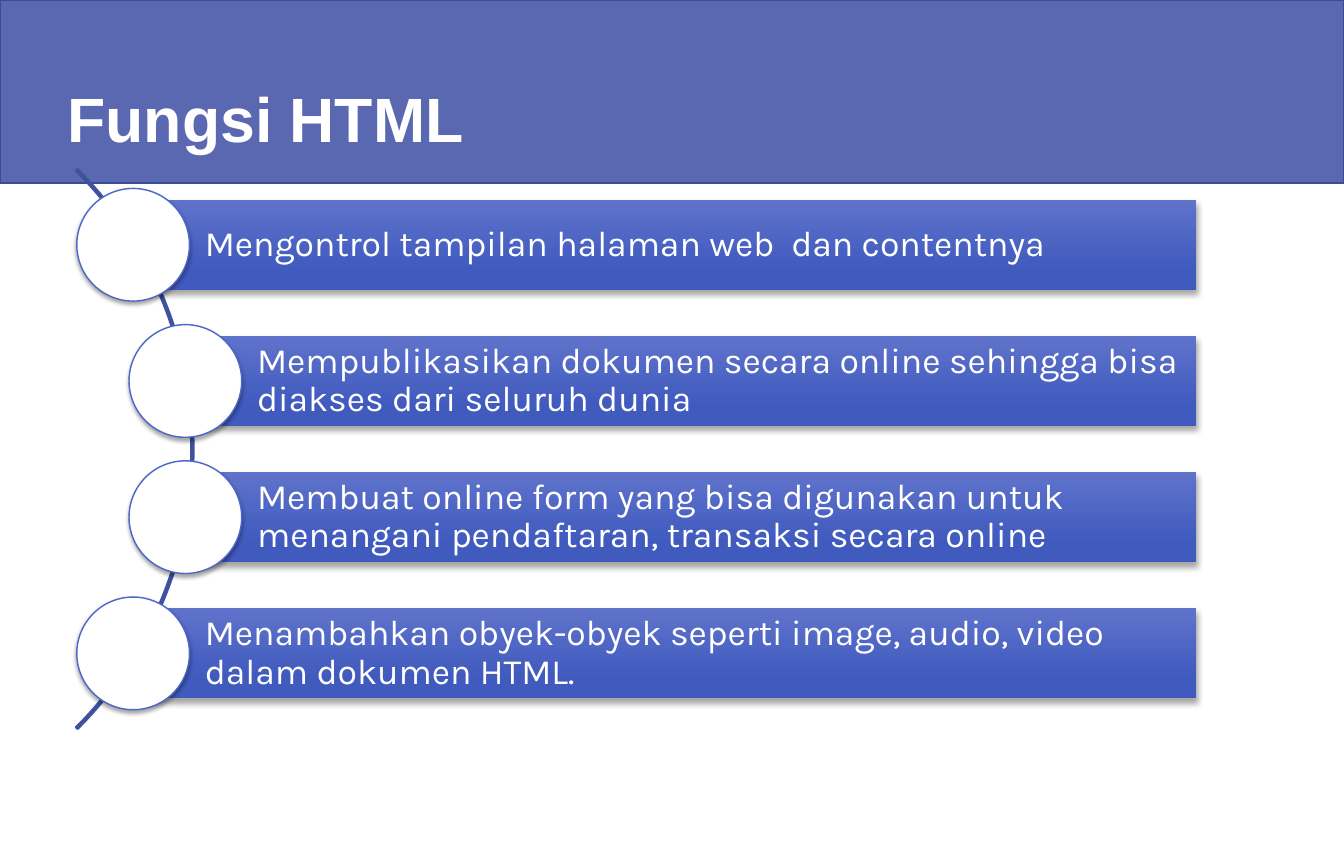
import lxml.etree
import pptx
import pptx.dml.color
import pptx.enum.shapes
import pptx.enum.text
import pptx.oxml.ns
import pptx.util

Inches = pptx.util.Inches
Pt = pptx.util.Pt
RGBColor = pptx.dml.color.RGBColor
Shape = pptx.enum.shapes.MSO_SHAPE
Anchor = pptx.enum.text.MSO_ANCHOR
qn = pptx.oxml.ns.qn

WHITE = RGBColor(0xFF, 0xFF, 0xFF)
BAND = RGBColor(0x59, 0x68, 0xB0)
BAND_EDGE = RGBColor(0x3A, 0x4C, 0x94)
ARC = RGBColor(0x3E, 0x52, 0xA0)
BAR_TOP = RGBColor(0x5F, 0x73, 0xCB)
BAR_BOTTOM = RGBColor(0x40, 0x5A, 0xBE)
CIRCLE_EDGE = RGBColor(0x4E, 0x67, 0xC8)

FUNCTIONS = [
    "Mengontrol tampilan halaman web  dan contentnya",
    "Mempublikasikan dokumen secara online sehingga bisa diakses dari seluruh dunia",
    "Membuat online form yang bisa digunakan untuk menangani pendaftaran, transaksi secara online",
    "Menambahkan obyek-obyek seperti image, audio, video dalam dokumen HTML.",
]
BAR_LEFTS = [1.3, 1.81, 1.81, 1.3]
BAR_RIGHT = 11.68
BAR_HEIGHT = 0.88
FIRST_BAR_TOP = 1.95
PITCH = 1.33
CIRCLE = 1.1


def write_text(frame, text, *, font, size, bold=False, anchor=Anchor.MIDDLE,
               margins=(0, 0, 0, 0), line_spacing=1.0):
    """Fill a text frame; margins are left, top, right, bottom in inches."""
    frame.word_wrap = True
    frame.auto_size = pptx.enum.text.MSO_AUTO_SIZE.NONE
    frame.vertical_anchor = anchor
    (frame.margin_left, frame.margin_top,
     frame.margin_right, frame.margin_bottom) = map(Inches, margins)
    paragraph = frame.paragraphs[0]
    paragraph.alignment = pptx.enum.text.PP_ALIGN.LEFT
    paragraph.line_spacing = line_spacing
    run = paragraph.add_run()
    run.text = text
    run.font.name = font
    run.font.size = Pt(size)
    run.font.bold = bold
    run.font.color.rgb = WHITE


def cast_shadow(shape, blur, distance):
    """Add a soft black shadow straight below; lengths in points."""
    effects = shape.element.spPr.find(qn("a:effectLst"))
    shadow = lxml.etree.SubElement(
        effects, qn("a:outerShdw"), blurRad=str(Pt(blur)), dist=str(Pt(distance)),
        dir="5400000", rotWithShape="0")
    black = lxml.etree.SubElement(shadow, qn("a:srgbClr"), val="000000")
    lxml.etree.SubElement(black, qn("a:alpha"), val="35000")


class FunctionSlide:
    heading_font = "Arial"
    body_font = "Karla"

    def __init__(self, presentation):
        self.slide = presentation.slides.add_slide(presentation.slide_layouts[5])

    def shape(self, kind, left, top, width, height, fill=None, edge=None, edge_width=1):
        shape = self.slide.shapes.add_shape(kind, *map(Inches, (left, top, width, height)))
        shape.shadow.inherit = False
        if fill is None:
            shape.fill.background()
        else:
            shape.fill.solid()
            shape.fill.fore_color.rgb = fill
        if edge is None:
            shape.line.fill.background()
        else:
            shape.line.color.rgb = edge
            shape.line.width = Pt(edge_width)
        return shape

    def title_band(self):
        band = self.shape(Shape.RECTANGLE, 0, 0, 13.12, 1.79, BAND, BAND_EDGE, 1.5)
        self.slide.shapes.title.element.addprevious(band.element)

    def title(self, text):
        title = self.slide.shapes.title
        title.left, title.top, title.width, title.height = map(
            Inches, (0.66, 0.13, 11.81, 1.38))
        write_text(title.text_frame, text, font=self.heading_font, size=44,
                   bold=True, anchor=Anchor.BOTTOM)

    def arc(self):
        arc = self.shape(Shape.BLOCK_ARC, -5.84, 0.52, 7.73, 7.73, edge=ARC, edge_width=1.5)
        for index, value in enumerate((189, 27, 0.003)):
            arc.adjustments[index] = value

    def bar(self, text, left, top):
        bar = self.shape(Shape.RECTANGLE, left, top, BAR_RIGHT - left, BAR_HEIGHT)
        bar.fill.gradient()
        bar.fill.gradient_angle = 270
        stops = ((0, BAR_TOP), (0.78, BAR_BOTTOM))
        for stop, (position, color) in zip(bar.fill.gradient_stops, stops):
            stop.position = position
            stop.color.rgb = color
        cast_shadow(bar, blur=4, distance=3)
        write_text(bar.text_frame, text, font=self.body_font, size=25,
                   margins=(0.7, 0.07, 0.07, 0.07), line_spacing=0.9)

    def circle(self, center_x, center_y):
        circle = self.shape(Shape.OVAL, center_x - CIRCLE / 2, center_y - CIRCLE / 2,
                            CIRCLE, CIRCLE, WHITE, CIRCLE_EDGE)
        cast_shadow(circle, blur=3, distance=2)


def main():
    presentation = pptx.Presentation()
    presentation.slide_width = Inches(13.12)
    presentation.slide_height = Inches(8.27)

    page = FunctionSlide(presentation)
    page.title_band()
    page.title("Fungsi HTML")
    page.arc()
    for row, (text, left) in enumerate(zip(FUNCTIONS, BAR_LEFTS)):
        top = FIRST_BAR_TOP + row * PITCH
        page.bar(text, left, top)
        page.circle(left, top + BAR_HEIGHT / 2)

    presentation.save("out.pptx")


if __name__ == "__main__":
    main()
